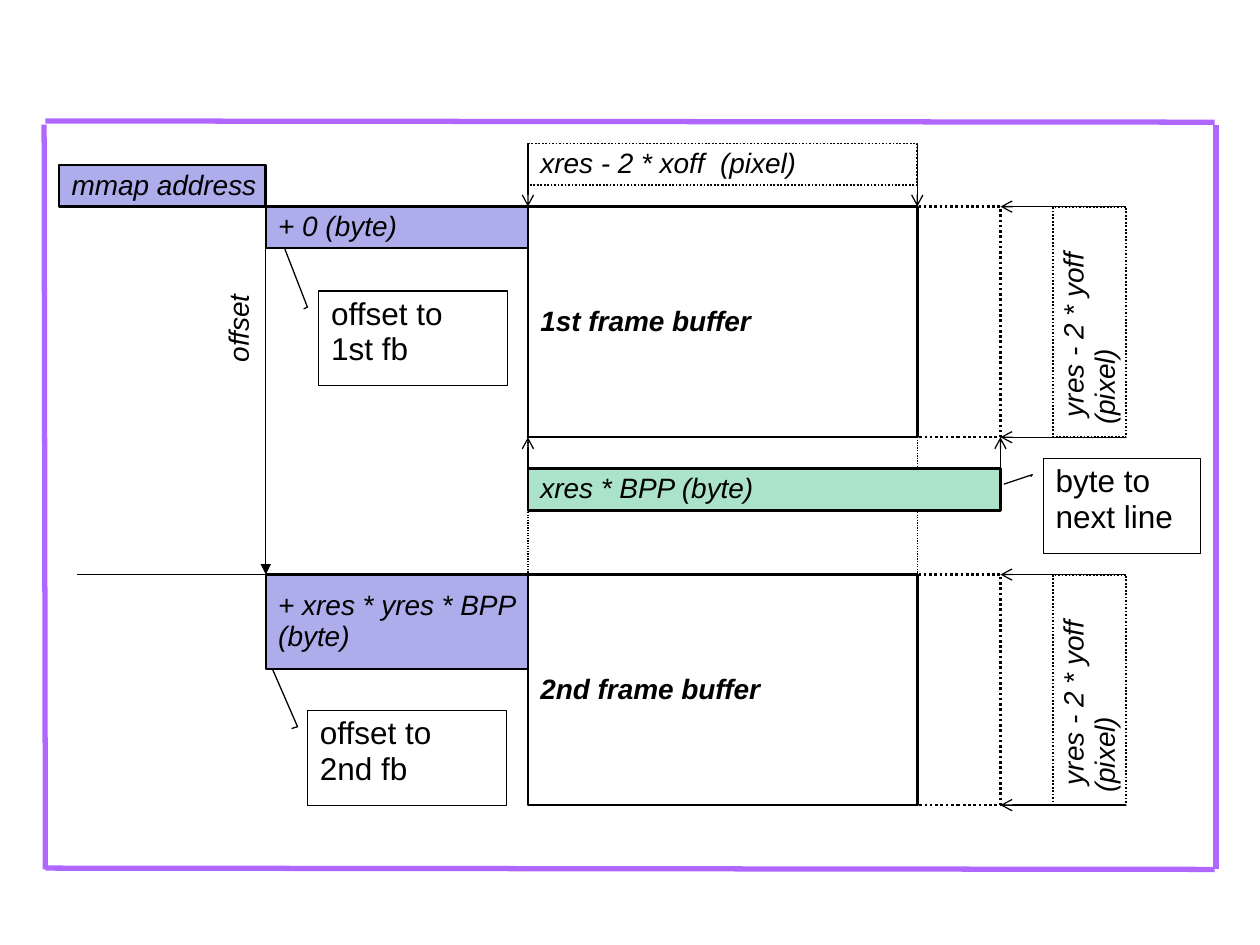
from dataclasses import dataclass

from lxml.etree import SubElement
from pptx import Presentation
from pptx.dml.color import RGBColor
from pptx.enum.dml import MSO_LINE
from pptx.enum.shapes import MSO_CONNECTOR, MSO_SHAPE
from pptx.enum.text import MSO_ANCHOR, PP_ALIGN
from pptx.oxml.ns import qn
from pptx.util import Inches, Pt


@dataclass(frozen=True)
class Theme:
    font: str = "Arial"
    ink: str = "000000"
    paper: str = "FFFFFF"
    frame: str = "AF67FF"
    offset_fill: str = "ADADEB"
    stride_fill: str = "AAE2CA"
    label_size: float = 16
    note_size: float = 18
    thin: float = 0.75
    dimension: float = 1
    thick: float = 1.5
    frame_width: float = 3
    line_spacing: float = 0.93


class DiagramSlide:
    def __init__(self, slide, theme):
        self.slide = slide
        self.theme = theme

    def set_text(self, shape, text, size, bold=False, italic=False, wrap=False,
                 anchor=MSO_ANCHOR.MIDDLE):
        frame = shape.text_frame
        frame.text = text
        frame.word_wrap = wrap
        frame.vertical_anchor = anchor
        for paragraph in frame.paragraphs:
            paragraph.alignment = PP_ALIGN.LEFT
            paragraph.line_spacing = self.theme.line_spacing
            for run in paragraph.runs:
                run.font.name = self.theme.font
                run.font.size = Pt(size)
                run.font.bold = bold
                run.font.italic = italic
                run.font.color.rgb = RGBColor.from_string(self.theme.ink)

    def style_line(self, line, width, color=None, dotted=False):
        line.color.rgb = RGBColor.from_string(color or self.theme.ink)
        line.width = Pt(width)
        if dotted:
            line.dash_style = MSO_LINE.ROUND_DOT

    def outline(self, kind, left, top, width, height, line_width, fill=None, dotted=False):
        shape = self.slide.shapes.add_shape(
            kind, Inches(left), Inches(top), Inches(width), Inches(height))
        shape.shadow.inherit = False
        if fill:
            shape.fill.solid()
            shape.fill.fore_color.rgb = RGBColor.from_string(fill)
        else:
            shape.fill.background()
        self.style_line(shape.line, line_width, dotted=dotted)
        return shape

    def box(self, left, top, width, height, text="", fill=None, bold=False,
            dotted=False, line_width=None, rotation=0):
        shape = self.outline(MSO_SHAPE.RECTANGLE, left, top, width, height,
                             line_width or self.theme.thick, fill, dotted)
        shape.rotation = rotation
        if text:
            self.set_text(shape, text, self.theme.label_size, bold, italic=True)

    def callout(self, left, top, width, height, text, leader):
        """Leader is (y, x) of its bend and of its tip, as shares of the box."""
        shape = self.outline(MSO_SHAPE.LINE_CALLOUT_2, left, top, width, height,
                             self.theme.thin)
        for index, value in enumerate((0.19, -0.08) + leader):
            shape.adjustments[index] = value
        self.set_text(shape, text, self.theme.note_size, wrap=True, anchor=MSO_ANCHOR.TOP)

    def label(self, left, top, width, height, text, rotation):
        shape = self.slide.shapes.add_textbox(
            Inches(left), Inches(top), Inches(width), Inches(height))
        shape.rotation = rotation
        self.set_text(shape, text, self.theme.label_size, italic=True)

    def line(self, start, end, width=None, color=None, dotted=False, head=None, tail=None):
        connector = self.slide.shapes.add_connector(
            MSO_CONNECTOR.STRAIGHT, *(Inches(value) for value in start + end))
        self.style_line(connector.line, width or self.theme.thin, color, dotted)
        properties = connector._element.spPr
        for tag, arrow in (("a:headEnd", head), ("a:tailEnd", tail)):
            if arrow:
                SubElement(properties.find(qn("a:ln")), qn(tag), type=arrow)
        SubElement(properties, qn("a:effectLst"))


def draw_diagram(diagram):
    theme = diagram.theme
    origin, buffer_left, buffer_right, stride_right = 2.11, 4.19, 7.28, 7.94
    first_top, second_top, buffer_height = 1.64, 4.56, 1.83
    first_bottom = first_top + buffer_height
    buffer_width = buffer_right - buffer_left
    stride_width = stride_right - buffer_left
    offset_width = buffer_left - origin
    row = 0.33
    dimension_width, dimension_center = 0.58, 8.65

    for start, end in (
        ((0.36, 0.96), (9.64, 0.97)),
        ((0.36, 6.89), (9.64, 6.9)),
        ((0.35, 0.99), (0.36, 6.9)),
        ((9.65, 0.99), (9.65, 6.9)),
    ):
        diagram.line(start, end, theme.frame_width, theme.frame)

    for top, name in ((first_top, "1st frame buffer"), (second_top, "2nd frame buffer")):
        diagram.box(buffer_left, top, buffer_width, buffer_height, name, bold=True)
        diagram.box(buffer_right, top, stride_right - buffer_right, buffer_height, dotted=True)

    diagram.callout(2.53, 2.31, 1.5, 0.75, "offset to\n1st fb",
                    (0.17, -0.06, -0.86, -0.26))
    diagram.callout(2.44, 5.64, 1.58, 0.75, "offset to\n2nd fb",
                    (0.17, -0.05, -0.46, -0.18))
    diagram.box(origin, first_top, offset_width, row, "+ 0 (byte)", theme.offset_fill)
    diagram.box(origin, second_top, offset_width, 0.75,
                "+ xres * yres * BPP\n(byte)", theme.offset_fill)

    for x in (buffer_left, buffer_right):
        diagram.line((x, first_bottom), (x, second_top), dotted=True)
    for x in (buffer_left, stride_right):
        diagram.line((x, first_bottom), (x, 3.97), head="arrow")
    diagram.box(buffer_left, 3.72, stride_width, row, "xres * BPP (byte)", theme.stride_fill)
    diagram.callout(8.28, 3.64, 1.25, 0.75, "byte to next line",
                    (0.17, -0.07, 0.27, -0.25))

    diagram.box(buffer_left, 1.14, buffer_width, row, "xres - 2 * xoff  (pixel)",
                theme.paper, dotted=True, line_width=theme.dimension)
    for x in (buffer_left, buffer_right):
        diagram.line((x, 1.14), (x, first_top), tail="arrow")

    for top in (first_top, second_top):
        for y in (top, top + buffer_height):
            diagram.line((stride_right, y), (8.94, y), head="arrow")
        diagram.box(dimension_center - buffer_height / 2,
                    top + (buffer_height - dimension_width) / 2,
                    buffer_height, dimension_width, " yres - 2 * yoff\n(pixel)",
                    dotted=True, line_width=theme.dimension, rotation=270)

    diagram.box(0.47, first_top - row, origin - 0.47, row, "mmap address", theme.offset_fill)
    diagram.line((origin, first_top), (origin, second_top), tail="triangle")
    diagram.line((0.61, second_top), (2.28, second_top))
    diagram.label(1.4, 2.35, 1, 0.25, "offset", 270)


def main():
    presentation = Presentation()
    presentation.slide_width = Inches(10)
    presentation.slide_height = Inches(7.5)
    slide = presentation.slides.add_slide(presentation.slide_layouts[6])
    draw_diagram(DiagramSlide(slide, Theme()))
    presentation.save("out.pptx")


if __name__ == "__main__":
    main()
